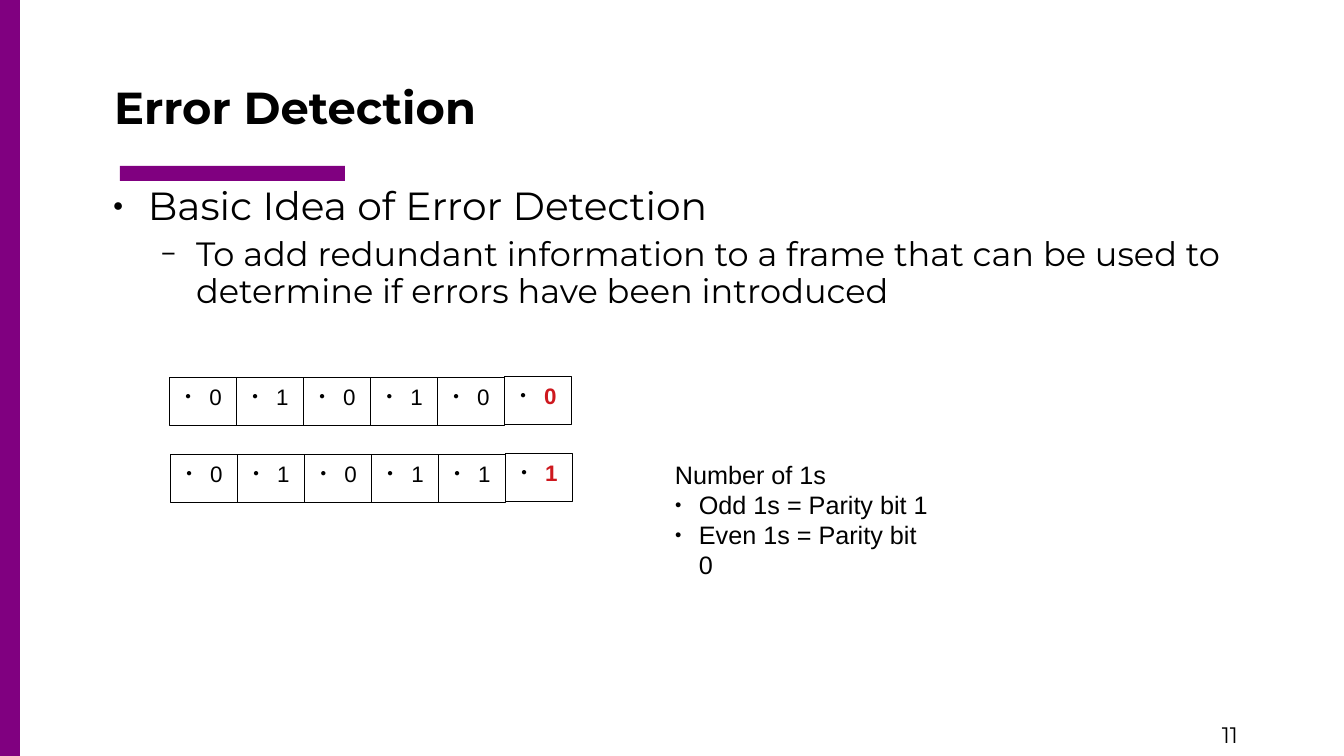
from lxml import etree
from pptx import Presentation
from pptx.dml.color import RGBColor
from pptx.enum import shapes, text
from pptx.oxml.ns import qn
from pptx.util import Pt

# Content
TITLE = "Error Detection"
IDEA = "Basic Idea of Error Detection"
DETAIL = ("To add redundant information to a frame that can be used to "
          "determine if errors have been introduced")
FRAMES = [(170, 378, "010100"), (171, 455, "010111")]  # left, top, bits
PARITY_RULES = ["Odd 1s = Parity bit 1", "Even 1s = Parity bit 0"]
PAGE_NUMBER = "11"

# Layout in px
SCALE = 914400 / 100.8
CELL_WIDTH, CELL_HEIGHT = 67, 48
PURPLE, BLACK, RED = "800080", "000000", "CE181E"


def px(length):
    return round(length * SCALE)


def color(value):
    return RGBColor.from_string(value)


def add_rect(left, top, width, height, fill=None, line=None):
    box = page.shapes.add_shape(shapes.MSO_SHAPE.RECTANGLE,
                                px(left), px(top), px(width), px(height))
    box.shadow.inherit = False
    if fill:
        box.fill.solid()
        box.fill.fore_color.rgb = color(fill)
    else:
        box.fill.background()
    if line:
        box.line.color.rgb = color(line)
        box.line.width = Pt(0.75)
    else:
        box.line.fill.background()
    return box


def add_text(left, top, width, height, lines, inset=True):
    box = page.shapes.add_textbox(px(left), px(top), px(width), px(height))
    frame = box.text_frame
    frame.word_wrap = True
    if not inset:
        frame.margin_left = frame.margin_right = 0
        frame.margin_top = frame.margin_bottom = 0
    frame.text = "\n".join(lines)
    return frame


def style(para, size, font, value=BLACK, bold=False):
    for span in para.runs:
        span.font.size = Pt(size)
        span.font.name = font
        span.font.bold = bold
        span.font.color.rgb = color(value)


def add_bullet(para, margin, hanging, char="●", percent=45):
    props = para._p.get_or_add_pPr()
    props.set("marL", str(px(margin)))
    props.set("indent", str(-px(hanging)))
    paint = etree.SubElement(props, qn("a:buClr"))
    etree.SubElement(paint, qn("a:srgbClr"), val=BLACK)
    etree.SubElement(props, qn("a:buSzPct"), val=str(percent * 1000))
    etree.SubElement(props, qn("a:buFont"), typeface="Arial")
    etree.SubElement(props, qn("a:buChar"), char=char)


deck = Presentation()
deck.slide_width, deck.slide_height = px(1344), px(756)
page = deck.slides.add_slide(deck.slide_layouts[6])

# Purple bars and page number
add_rect(120, 166, 225, 15, fill=PURPLE)
add_rect(0, 0, 20, 756, fill=PURPLE)
number = add_text(1212, 716, 131, 40, [PAGE_NUMBER])
style(number.paragraphs[0], 16, "Montserrat")

# Title
title = add_text(114, 50, 1194, 84, [TITLE], inset=False)
title.vertical_anchor = text.MSO_ANCHOR.BOTTOM
title.paragraphs[0].line_spacing = 0.9
style(title.paragraphs[0], 32, "Montserrat", bold=True)

# Body
body = add_text(101, 187, 1216, 500, [IDEA, DETAIL], inset=False)
idea, detail = body.paragraphs
detail.level = 1
detail.space_before = Pt(6)
for para, size in ((idea, 28), (detail, 24)):
    para.line_spacing = 0.9
    style(para, size, "Montserrat")
add_bullet(idea, 47, 35)
add_bullet(detail, 95, 35, "−", 75)

# Bit frames: the last, raised cell holds the parity bit
for left, top, bits in FRAMES:
    for column, bit in enumerate(bits):
        parity = column == len(bits) - 1
        cell = add_rect(left + column * CELL_WIDTH, top - parity,
                        CELL_WIDTH, CELL_HEIGHT, line=BLACK)
        cell.text_frame.text = bit
        cell.text_frame.vertical_anchor = text.MSO_ANCHOR.TOP
        para = cell.text_frame.paragraphs[0]
        para.alignment = text.PP_ALIGN.CENTER
        style(para, 16, "Arial", RED if parity else BLACK, parity)
        add_bullet(para, 24, 24)

# Parity rule
rules = add_text(665, 454, 282, 95, ["Number of 1s", *PARITY_RULES])
for index, para in enumerate(rules.paragraphs):
    style(para, 18, "Arial")
    if index:
        add_bullet(para, 24, 24)

deck.save("out.pptx")
